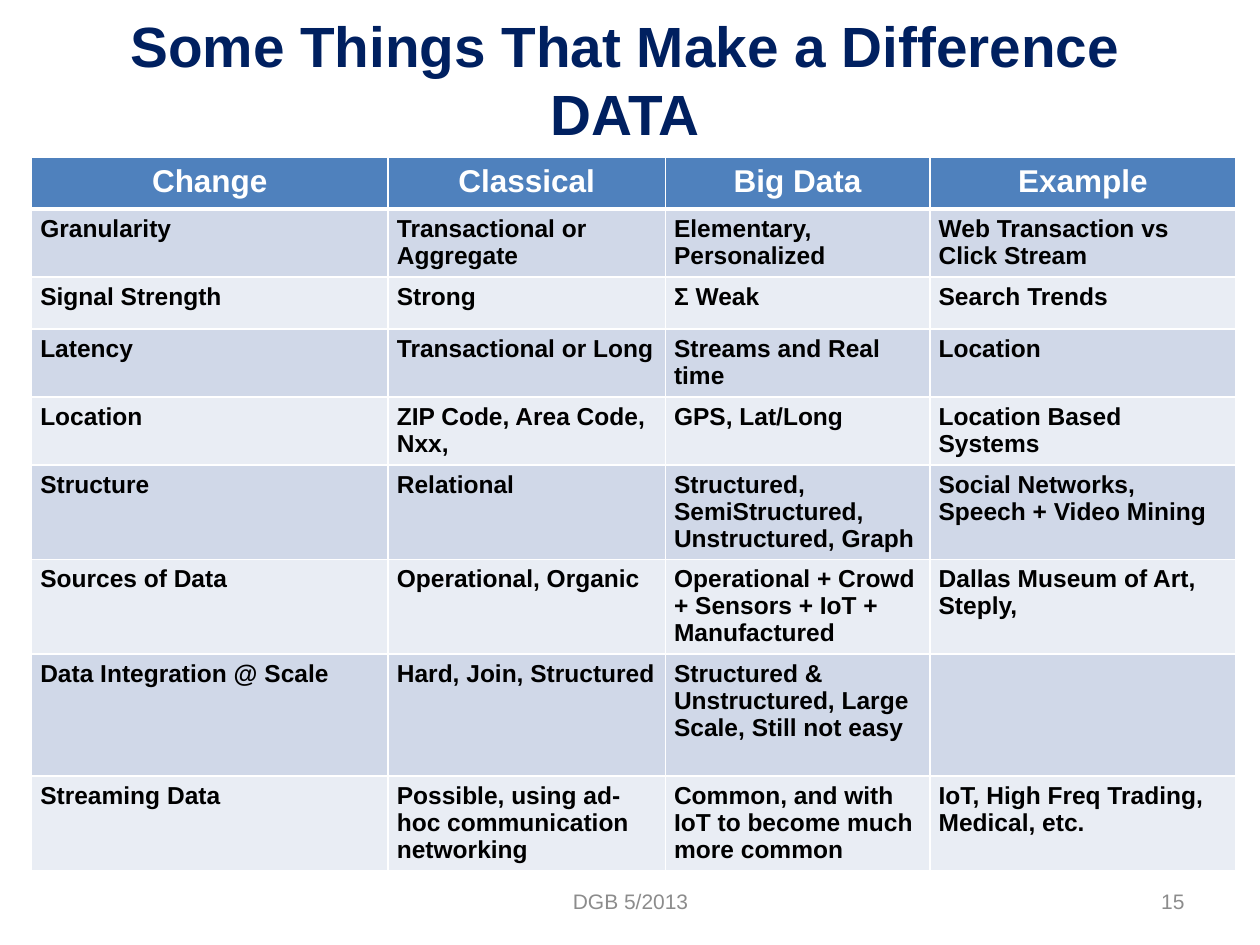
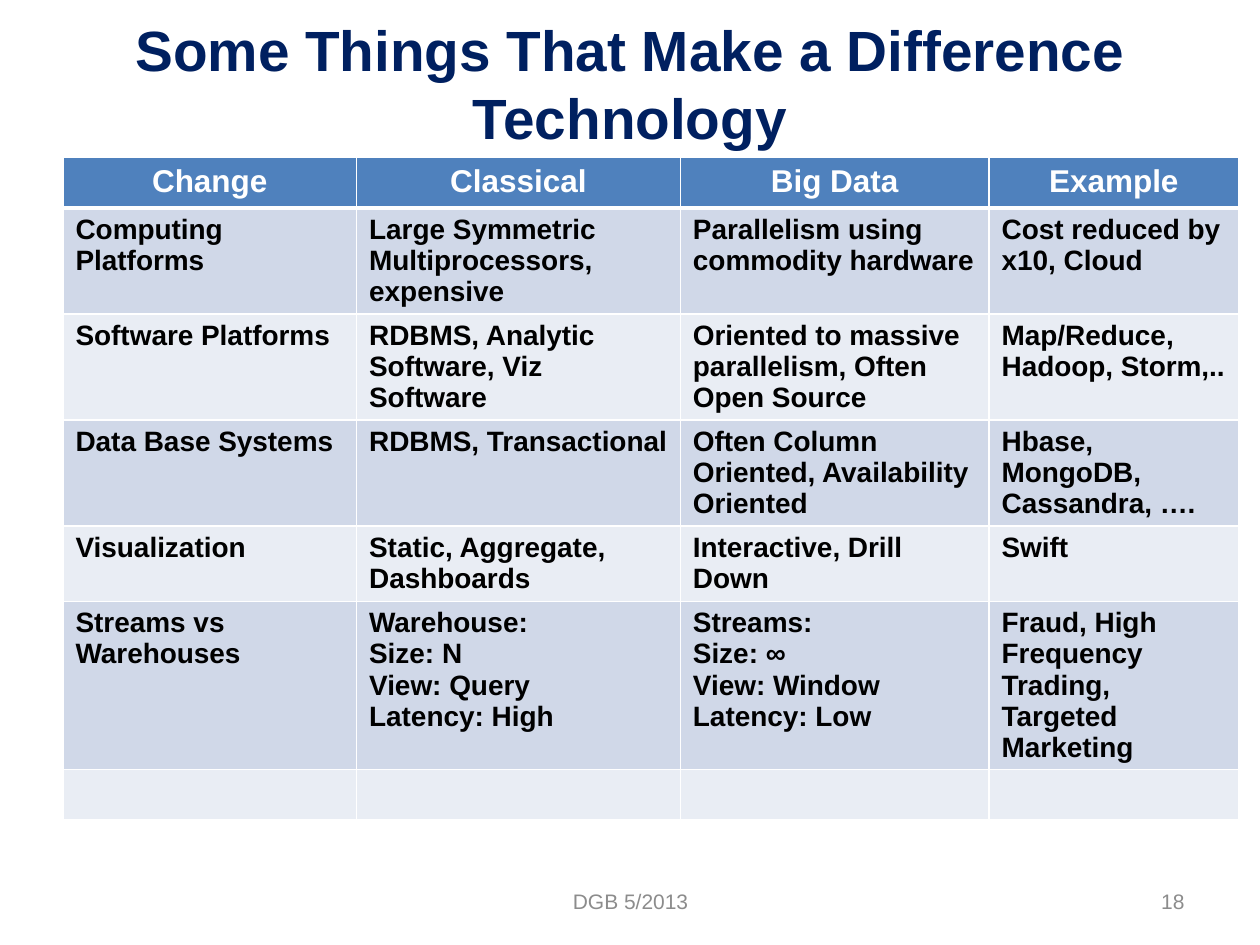
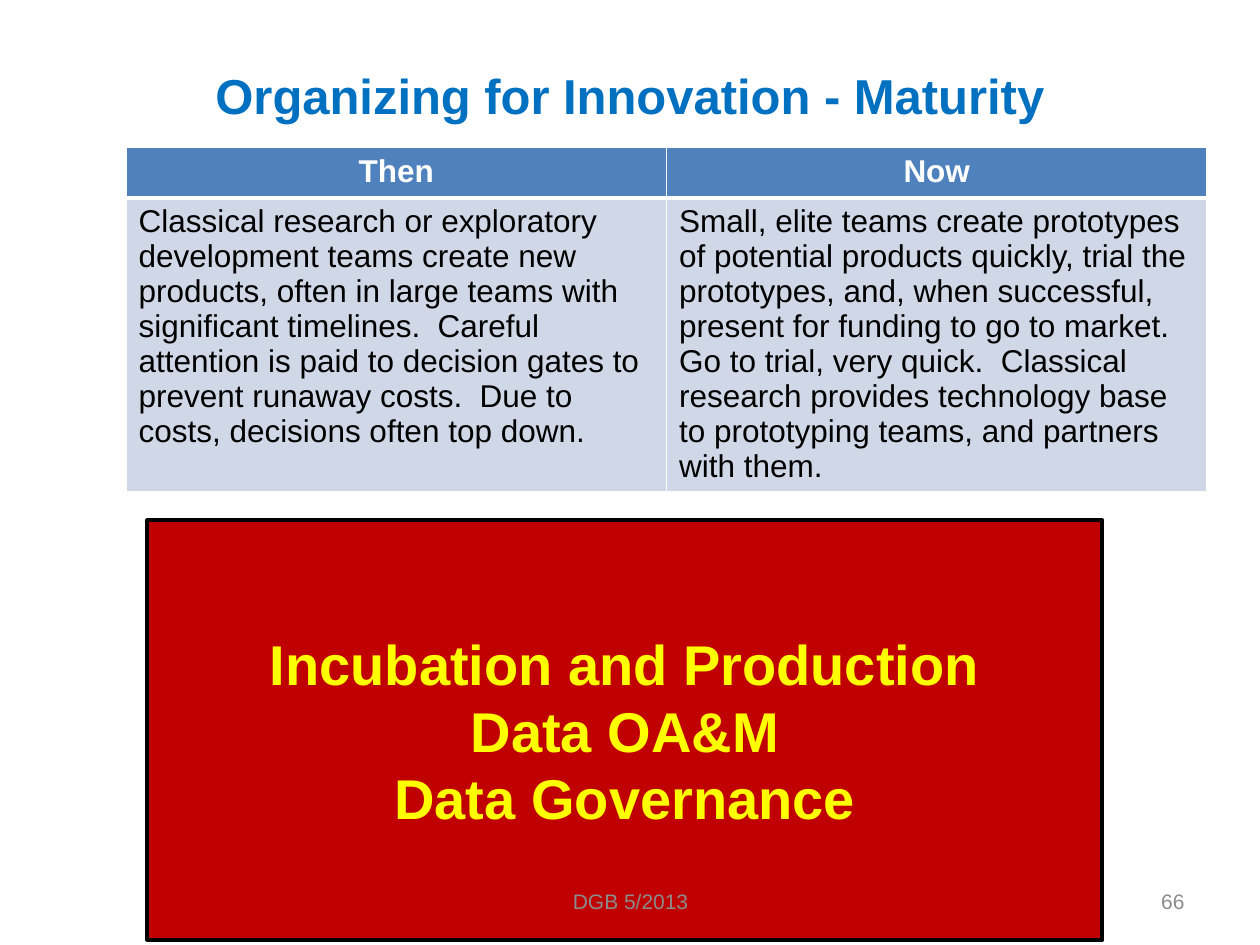
from lxml import etree
from pptx import Presentation
from pptx.dml.color import RGBColor
from pptx.enum.shapes import MSO_SHAPE
from pptx.enum.text import MSO_ANCHOR, MSO_AUTO_SIZE, PP_ALIGN
from pptx.oxml.ns import qn
from pptx.util import Inches, Pt

LEFT, CENTER, RIGHT = PP_ALIGN.LEFT, PP_ALIGN.CENTER, PP_ALIGN.RIGHT
MIDDLE = MSO_ANCHOR.MIDDLE
NO_AUTOFIT = MSO_AUTO_SIZE.NONE
RECTANGLE = MSO_SHAPE.RECTANGLE
TITLE_ONLY = 5
FONT = "Arial"
CELL_LEADING = 1.11
COLORS = {
    "navy": "002060",
    "blue": "0070C0",
    "header": "4F81BD",
    "band_dark": "D0D8E8",
    "band_light": "E9EDF4",
    "footer": "8C8C8C",
    "red": "C00000",
    "yellow": "FFFF00",
    "white": "FFFFFF",
    "black": "000000",
}

HEADINGS = ["Change", "Classical", "Big Data", "Example"]
DATA_ROWS = [
    HEADINGS,
    ["Granularity", "Transactional or Aggregate", "Elementary, Personalized",
     "Web Transaction vs Click Stream"],
    ["Signal Strength", "Strong", "Σ Weak", "Search Trends"],
    ["Latency", "Transactional or Long", "Streams and Real time", "Location"],
    ["Location", "ZIP Code, Area Code, Nxx,", "GPS, Lat/Long", "Location Based Systems"],
    ["Structure", "Relational", "Structured, SemiStructured, Unstructured, Graph",
     "Social Networks, Speech + Video Mining"],
    ["Sources of Data", "Operational, Organic",
     "Operational + Crowd + Sensors + IoT + Manufactured",
     "Dallas Museum of Art, Steply,"],
    ["Data Integration @ Scale", "Hard, Join, Structured",
     "Structured & Unstructured, Large Scale, Still not easy", ""],
    ["Streaming Data", "Possible, using ad-hoc communication networking",
     "Common, and with IoT to become much more common",
     "IoT, High Freq Trading, Medical, etc."],
]
TECHNOLOGY_ROWS = [
    HEADINGS,
    ["Computing Platforms", "Large Symmetric Multiprocessors, expensive",
     "Parallelism using commodity hardware", "Cost reduced by x10, Cloud"],
    ["Software Platforms", "RDBMS, Analytic Software, Viz Software",
     "Oriented to massive parallelism, Often Open Source", "Map/Reduce, Hadoop, Storm,.."],
    ["Data Base Systems", "RDBMS, Transactional",
     "Often Column Oriented, Availability Oriented", "Hbase, MongoDB, Cassandra, …."],
    ["Visualization", "Static, Aggregate, Dashboards", "Interactive, Drill Down", "Swift"],
    ["Streams vs Warehouses", "Warehouse:\nSize: N\nView: Query\nLatency: High",
     "Streams:\nSize: ∞\nView: Window\nLatency: Low",
     "Fraud, High Frequency Trading, Targeted Marketing"],
    [""] * 4,
]
MATURITY_ROWS = [
    ["Then", "Now"],
    ["Classical research or exploratory development teams create new products, often in "
     "large teams with significant timelines.  Careful attention is paid to decision gates "
     "to prevent runaway costs.  Due to costs, decisions often top down.",
     "Small, elite teams create prototypes of potential products quickly, trial the "
     "prototypes, and, when successful, present for funding to go to market.  Go to trial, "
     "very quick.  Classical research provides technology base to prototyping teams, and "
     "partners with them."],
]


def rgb(name):
    return RGBColor.from_string(COLORS[name])


def write_text(text_frame, text, size=18, color="black", bold=False, align=LEFT, leading=None):
    text_frame.text = text
    for paragraph in text_frame.paragraphs:
        paragraph.alignment = align
        if leading:
            paragraph.line_spacing = Pt(size * leading)
        paragraph.font.size = Pt(size)
        for run in paragraph.runs:
            run.font.name = FONT
            run.font.size = Pt(size)
            run.font.bold = bold
            run.font.color.rgb = rgb(color)


def place(shape, left, top, width, height):
    shape.left, shape.top = Inches(left), Inches(top)
    shape.width, shape.height = Inches(width), Inches(height)


def add_title(slide, text, top=0, width=9, size=32.4, color="navy", margin_top=0.05):
    title = slide.shapes.title
    place(title, 0.5, top, width, 1.25)
    text_frame = title.text_frame
    write_text(text_frame, text, size=size, color=color, bold=True, align=CENTER)
    text_frame.auto_size = NO_AUTOFIT
    text_frame.vertical_anchor = MIDDLE
    text_frame.margin_top = Inches(margin_top)


def add_footer(slide, number):
    for text, left, width, align in (("DGB 5/2013", 3.42, 3.17, CENTER),
                                     (str(number), 7.17, 2.33, RIGHT)):
        box = slide.shapes.add_textbox(Inches(left), Inches(6.95), Inches(width), Inches(0.4))
        box.text_frame.word_wrap = True
        box.text_frame.vertical_anchor = MIDDLE
        write_text(box.text_frame, text, size=12, color="footer", align=align)


def set_borders(cell, **widths):
    properties = cell._tc.get_or_add_tcPr()
    for side, width in widths.items():
        line = etree.SubElement(properties, qn(f"a:ln{side}"), w=str(Pt(width)))
        fill = etree.SubElement(line, qn("a:solidFill"))
        etree.SubElement(fill, qn("a:srgbClr"), val=COLORS["white"])


def add_comparison_table(slide, rows, left, top, column_widths, row_heights,
                         size, bold=True, side_margin=0.1):
    frame = slide.shapes.add_table(len(rows), len(column_widths), Inches(left), Inches(top),
                                   Inches(sum(column_widths)), Inches(sum(row_heights)))
    table = frame.table
    for column, width in zip(table.columns, column_widths):
        column.width = Inches(width)
    for index, (row, height, texts) in enumerate(zip(table.rows, row_heights, rows)):
        row.height = Inches(height)
        for cell, text in zip(row.cells, texts):
            cell.margin_left = cell.margin_right = Inches(side_margin)
            if index == 0:
                set_borders(cell, L=1, R=1, T=1, B=3)
                write_text(cell.text_frame, text, color="white", bold=True, align=CENTER)
                band = "header"
            else:
                set_borders(cell, L=1, R=1, B=1)
                write_text(cell.text_frame, text, size=size, bold=bold, leading=CELL_LEADING)
                band = "band_dark" if index % 2 else "band_light"
            cell.fill.solid()
            cell.fill.fore_color.rgb = rgb(band)


def add_callout(slide, text, left, top, width, height):
    shape = slide.shapes.add_shape(RECTANGLE, Inches(left), Inches(top),
                                   Inches(width), Inches(height))
    shape.shadow.inherit = False
    shape.fill.solid()
    shape.fill.fore_color.rgb = rgb("red")
    shape.line.color.rgb = rgb("black")
    shape.line.width = Pt(2.25)
    shape.text_frame.word_wrap = False
    shape.text_frame.vertical_anchor = MIDDLE
    write_text(shape.text_frame, text, size=32, color="yellow", bold=True, align=CENTER)


def main():
    presentation = Presentation()
    presentation.slide_width, presentation.slide_height = Inches(10), Inches(7.5)
    layout = presentation.slide_layouts[TITLE_ONLY]

    slide = presentation.slides.add_slide(layout)
    add_title(slide, "Some Things That Make a Difference\nDATA", width=8.92)
    add_comparison_table(slide, DATA_ROWS, 0.25, 1.25, [2.83, 2.2, 2.1, 2.43],
                         [0.41, 0.54, 0.41, 0.54, 0.54, 0.75, 0.75, 0.97, 0.75],
                         size=14, side_margin=0.07)
    add_footer(slide, 15)

    slide = presentation.slides.add_slide(layout)
    add_title(slide, "Some Things That Make a Difference\nTechnology", top=0.03)
    add_comparison_table(slide, TECHNOLOGY_ROWS, 0.5, 1.25, [2.33, 2.57, 2.45, 1.98],
                         [0.4, 0.84, 0.84, 0.84, 0.6, 1.33, 0.4], size=16)
    add_footer(slide, 18)

    slide = presentation.slides.add_slide(layout)
    add_title(slide, "Organizing for Innovation - Maturity", size=28, color="blue",
              margin_top=0.31)
    add_comparison_table(slide, MATURITY_ROWS, 1, 1.17, [4.29, 4.29], [0.4, 2.33],
                         size=18, bold=False)
    add_callout(slide, "Incubation and Production\nData OA&M\nData Governance",
                1.17, 4.13, 7.58, 3.33)
    add_footer(slide, 66)

    presentation.save("out.pptx")


if __name__ == "__main__":
    main()
